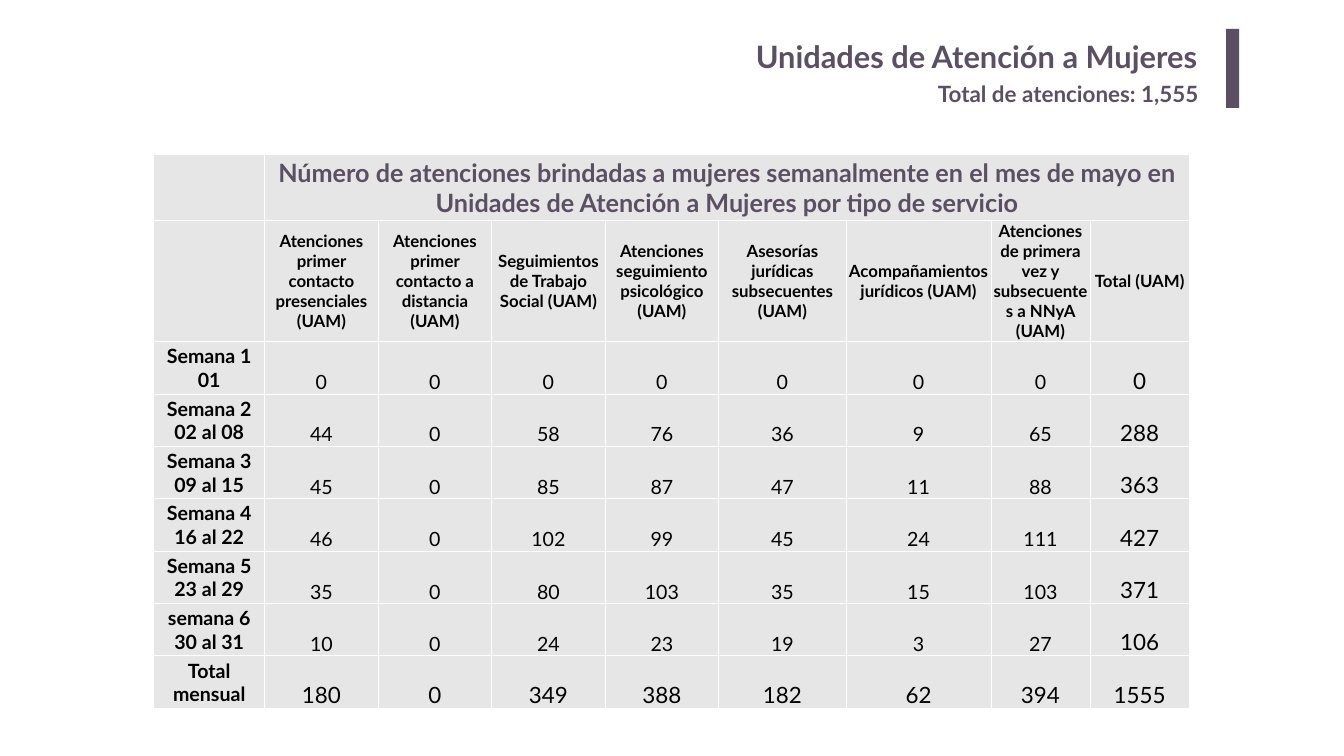
from lxml import etree
from pptx import Presentation
from pptx import util as u
from pptx.dml.color import RGBColor
from pptx.enum import shapes, text
from pptx.oxml.ns import qn

COLORS = {"purple": "5B4F63", "gray": "E7E6E6", "white": "FFFFFF", "black": "000000"}
FONT = "Lato"

TABLE_TITLE = ("Número de atenciones brindadas a mujeres semanalmente en el mes de mayo "
               "en Unidades de Atención a Mujeres por tipo de servicio")
SERVICES = [
    "Atenciones primer contacto presenciales (UAM)",
    "Atenciones primer contacto a distancia (UAM)",
    "Seguimientos de Trabajo Social (UAM)",
    "Atenciones seguimiento psicológico (UAM)",
    "Asesorías jurídicas subsecuentes (UAM)",
    "Acompañamientos jurídicos (UAM)",
    "Atenciones de primera vez y subsecuentes a NNyA (UAM)",
]
WEEKS = {
    "Semana 1\v01": [0, 0, 0, 0, 0, 0, 0],
    "Semana 2\v02 al 08": [44, 0, 58, 76, 36, 9, 65],
    "Semana 3\v09 al 15": [45, 0, 85, 87, 47, 11, 88],
    "Semana 4\v16 al 22": [46, 0, 102, 99, 45, 24, 111],
    "Semana 5\v23 al 29": [35, 0, 80, 103, 35, 15, 103],
    "semana 6\v30 al 31": [10, 0, 24, 23, 19, 3, 27],
}
COLUMN_WIDTHS = [5.59, 5.72, 5.72, 5.72, 5.72, 6.43, 7.29, 5, 5]
ROW_HEIGHTS = [3.28, 6.07] + [2.64] * 7

MIDDLE, BOTTOM = text.MSO_ANCHOR.MIDDLE, text.MSO_ANCHOR.BOTTOM


def set_text(frame, content, size, color="black", bold=True, align=text.PP_ALIGN.CENTER):
    frame.text = content
    paragraph = frame.paragraphs[0]
    paragraph.alignment = align
    for run in paragraph.runs:
        for name, value in {"name": FONT, "size": u.Pt(size), "bold": bold}.items():
            setattr(run.font, name, value)
        run.font.color.rgb = RGBColor.from_string(COLORS[color])


def format_cell(cell):
    margins = {"margin_left": 0.03, "margin_top": 0.03, "margin_right": 0.03, "margin_bottom": 0}
    for name, value in margins.items():
        setattr(cell, name, u.Cm(value))
    # Borders come before the fill in the cell properties
    properties = cell._tc.get_or_add_tcPr()
    for side in ("a:lnL", "a:lnR", "a:lnT", "a:lnB"):
        line = etree.SubElement(properties, qn(side), w=str(u.Pt(1)))
        fill = etree.SubElement(line, qn("a:solidFill"))
        etree.SubElement(fill, qn("a:srgbClr"), val=COLORS["white"])
    cell.fill.solid()
    cell.fill.fore_color.rgb = RGBColor.from_string(COLORS["gray"])


def add_label(slide, left, top, width, height, content, size, align, margins):
    frame = slide.shapes.add_textbox(u.Cm(left), u.Cm(top), u.Cm(width), u.Cm(height)).text_frame
    frame.word_wrap = True
    horizontal, vertical = margins
    frame.margin_left = frame.margin_right = u.Cm(horizontal)
    frame.margin_top = frame.margin_bottom = u.Cm(vertical)
    set_text(frame, content, size, "purple", align=align)


def add_heading(slide, left, top, width, height):
    # Accent bar at the right edge
    bar_width = 0.66
    bar = slide.shapes.add_shape(shapes.MSO_SHAPE.RECTANGLE, u.Cm(left + width - bar_width),
                                 u.Cm(top), u.Cm(bar_width), u.Cm(height))
    bar.shadow.inherit = False
    bar.fill.solid()
    bar.fill.fore_color.rgb = RGBColor.from_string(COLORS["purple"])
    bar.line.fill.background()
    # Title and subtitle
    add_label(slide, left, top + 0.18, 51.56, 2.59, "Unidades de Atención a Mujeres",
              44, text.PP_ALIGN.RIGHT, (0.5, 0.25))
    add_label(slide, left + 37.72, top + 2.44, 14, 1.63, "Total de atenciones: 1,555",
              32, text.PP_ALIGN.LEFT, (0.25, 0.13))


def add_services_table(slide, left, top):
    frame = slide.shapes.add_table(len(ROW_HEIGHTS), len(COLUMN_WIDTHS), u.Cm(left), u.Cm(top),
                                   u.Cm(sum(COLUMN_WIDTHS)), u.Cm(sum(ROW_HEIGHTS)))
    table = frame.table
    for column, width in zip(table.columns, COLUMN_WIDTHS):
        column.width = u.Cm(width)
    for row, height in zip(table.rows, ROW_HEIGHTS):
        row.height = u.Cm(height)
    for cell in table.iter_cells():
        format_cell(cell)

    def write(row, column, content, size, anchor=MIDDLE, **style):
        cell = table.cell(row, column)
        cell.vertical_anchor = anchor
        set_text(cell.text_frame, str(content), size, **style)

    # Header rows
    table.cell(0, 1).merge(table.cell(0, len(COLUMN_WIDTHS) - 1))
    write(0, 1, TABLE_TITLE, 36, color="purple")
    for column, service in enumerate(SERVICES + ["Total (UAM)"], 1):
        write(1, column, service, 24)

    # Weekly rows, then the monthly total; totals are set larger
    monthly = [sum(values) for values in zip(*WEEKS.values())]
    records = {**WEEKS, "Total mensual": monthly}
    for row, (label, values) in enumerate(records.items(), 2):
        write(row, 0, label, 28)
        for column, value in enumerate(values + [sum(values)], 1):
            is_total = values is monthly or column > len(SERVICES)
            write(row, column, value, 32 if is_total else 28, BOTTOM, bold=False)


def main():
    presentation = Presentation()
    presentation.slide_width, presentation.slide_height = u.Cm(67.74), u.Cm(38.1)
    slide = presentation.slides.add_slide(presentation.slide_layouts[6])
    add_heading(slide, left=9.3, top=1.45, width=53.16, height=3.99)
    add_services_table(slide, left=7.75, top=7.8)
    presentation.save("out.pptx")


if __name__ == "__main__":
    main()
